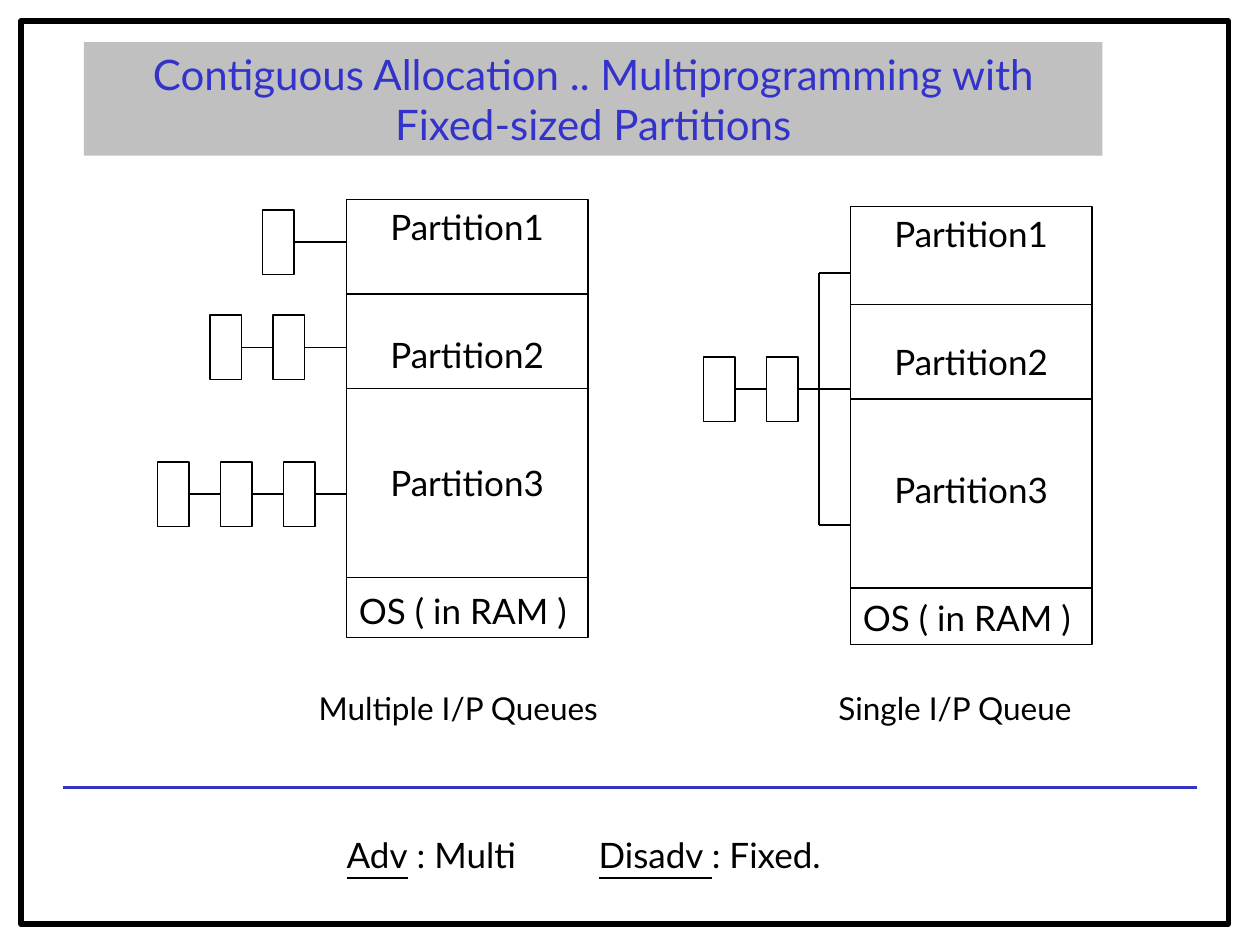
from dataclasses import dataclass

from lxml import etree
from pptx import Presentation
from pptx.dml.color import RGBColor
from pptx.enum.shapes import MSO_CONNECTOR, MSO_SHAPE
from pptx.enum.text import MSO_ANCHOR, PP_ALIGN
from pptx.oxml.ns import qn
from pptx.util import Pt


@dataclass(frozen=True)
class Theme:
    font: str = "Lato"
    ink: RGBColor = RGBColor(0, 0, 0)
    accent: RGBColor = RGBColor(0x33, 0x33, 0xCC)
    band: RGBColor = RGBColor(0xC0, 0xC0, 0xC0)
    title: int = 24
    body: int = 20
    caption: int = 18
    thin: float = 0.75
    rule: float = 2.25
    frame: float = 3


def add_text(p, text, *, font, size, color, underline=False):
    r = p.add_run()
    r.text = text
    r.font.name = font
    r.font.size = Pt(size)
    r.font.color.rgb = color
    r.font.underline = underline
    return r


def set_tabs(p, stops):
    tabs = etree.SubElement(p._p.get_or_add_pPr(), qn("a:tabLst"))
    for stop in stops:
        etree.SubElement(tabs, qn("a:tab"), pos=str(Pt(stop)), algn="l")


class Deck:
    BOX_W, BOX_H, BOX_STEP = 18, 36.75, 36
    COL_W, COL_H = 138, 250.5

    def __init__(self, prs, theme):
        self.theme = theme
        self.s = prs.slides.add_slide(prs.slide_layouts[5])

    def title(self, text, x, y, w, h):
        t = self.theme
        sp = self.s.shapes.title
        sp.left, sp.top, sp.width, sp.height = Pt(x), Pt(y), Pt(w), Pt(h)
        sp.fill.solid()
        sp.fill.fore_color.rgb = t.band
        tf = sp.text_frame
        tf.word_wrap = True
        tf.vertical_anchor = MSO_ANCHOR.TOP
        p = tf.paragraphs[0]
        p.alignment = PP_ALIGN.CENTER
        add_text(p, text, font=t.font, size=t.title, color=t.accent)

    def rect(self, x, y, w, h, weight=None):
        sp = self.s.shapes.add_shape(MSO_SHAPE.RECTANGLE, Pt(x), Pt(y), Pt(w), Pt(h))
        sp.shadow.inherit = False
        sp.fill.background()
        sp.line.color.rgb = self.theme.ink
        sp.line.width = Pt(weight or self.theme.thin)
        return sp

    def line(self, x1, y1, x2, y2, color=None, weight=None, begin=None, end=None):
        c = self.s.shapes.add_connector(
            MSO_CONNECTOR.STRAIGHT, Pt(x1), Pt(y1), Pt(x2), Pt(y2))
        c.line.color.rgb = color or self.theme.ink
        c.line.width = Pt(weight or self.theme.thin)
        etree.SubElement(c._element.spPr, qn("a:effectLst"))
        if begin is not None:
            c.begin_connect(begin, 3)
        if end is not None:
            c.end_connect(end, 1)
        return c

    def memory(self, x, y, dividers):
        t = self.theme
        tf = self.rect(x, y, self.COL_W, self.COL_H).text_frame
        tf.word_wrap = True
        tf.vertical_anchor = MSO_ANCHOR.TOP
        for i, label in enumerate(("Partition1", "Partition2", "Partition3", "OS ( in RAM )")):
            p = tf.add_paragraph() if i else tf.paragraphs[0]
            p.alignment = PP_ALIGN.CENTER if i < 3 else PP_ALIGN.LEFT
            p.space_before = Pt(49 if i else 0)
            add_text(p, label, font=t.font, size=t.body, color=t.ink)
        for dy in dividers:
            self.line(x, dy, x + self.COL_W, dy)

    def queue(self, right, top, count, target):
        cy = top + self.BOX_H / 2
        first = right - self.BOX_W - self.BOX_STEP * (count - 1)
        boxes = [self.rect(first + i * self.BOX_STEP, top, self.BOX_W, self.BOX_H)
                 for i in range(count)]
        for a, b in zip(boxes, boxes[1:]):
            self.line(first, cy, right, cy, begin=a, end=b)
        self.line(right, cy, target, cy, begin=boxes[-1])

    def tabbed(self, x, y, w, h, stops, runs, size):
        t = self.theme
        tf = self.s.shapes.add_textbox(Pt(x), Pt(y), Pt(w), Pt(h)).text_frame
        tf.word_wrap = True
        p = tf.paragraphs[0]
        set_tabs(p, stops)
        for text, underline in runs:
            add_text(p, text, font=t.font, size=size, color=t.ink, underline=underline)


def main():
    prs = Presentation()
    prs.slide_width, prs.slide_height = Pt(720), Pt(540)
    theme = Theme()
    d = Deck(prs, theme)

    d.rect(12, 12, 690, 516, theme.frame)
    d.title("Contiguous Allocation .. Multiprogramming with Fixed-sized Partitions",
            48, 24, 582, 65)

    left, right, bus = 198, 486, 468
    d.memory(left, 114, (168, 222, 330))
    for count, (edge, top) in enumerate(((168, 120), (174, 180), (180, 264)), 1):
        d.queue(edge, top, count, left)

    d.memory(right, 118, (174, 228, 336))
    d.queue(456, 204, 2, bus)
    d.line(bus, 156, bus, 300)
    for y in (156, 204 + d.BOX_H / 2, 300):
        d.line(bus, y, right, y)

    d.tabbed(72, 390, 600, 29, (103, 400),
             [("\tMultiple I/P Queues\tSingle I/P Queue", False)], theme.caption)
    d.line(36, 450, 684, 450, theme.accent, theme.rule)
    d.tabbed(114, 473, 504, 31.5, (77, 221),
             [("\t", False), ("Adv", True), (" : Multi\t", False),
              ("Disadv ", True), (": Fixed.", False)], theme.body)

    prs.save("out.pptx")


if __name__ == "__main__":
    main()
